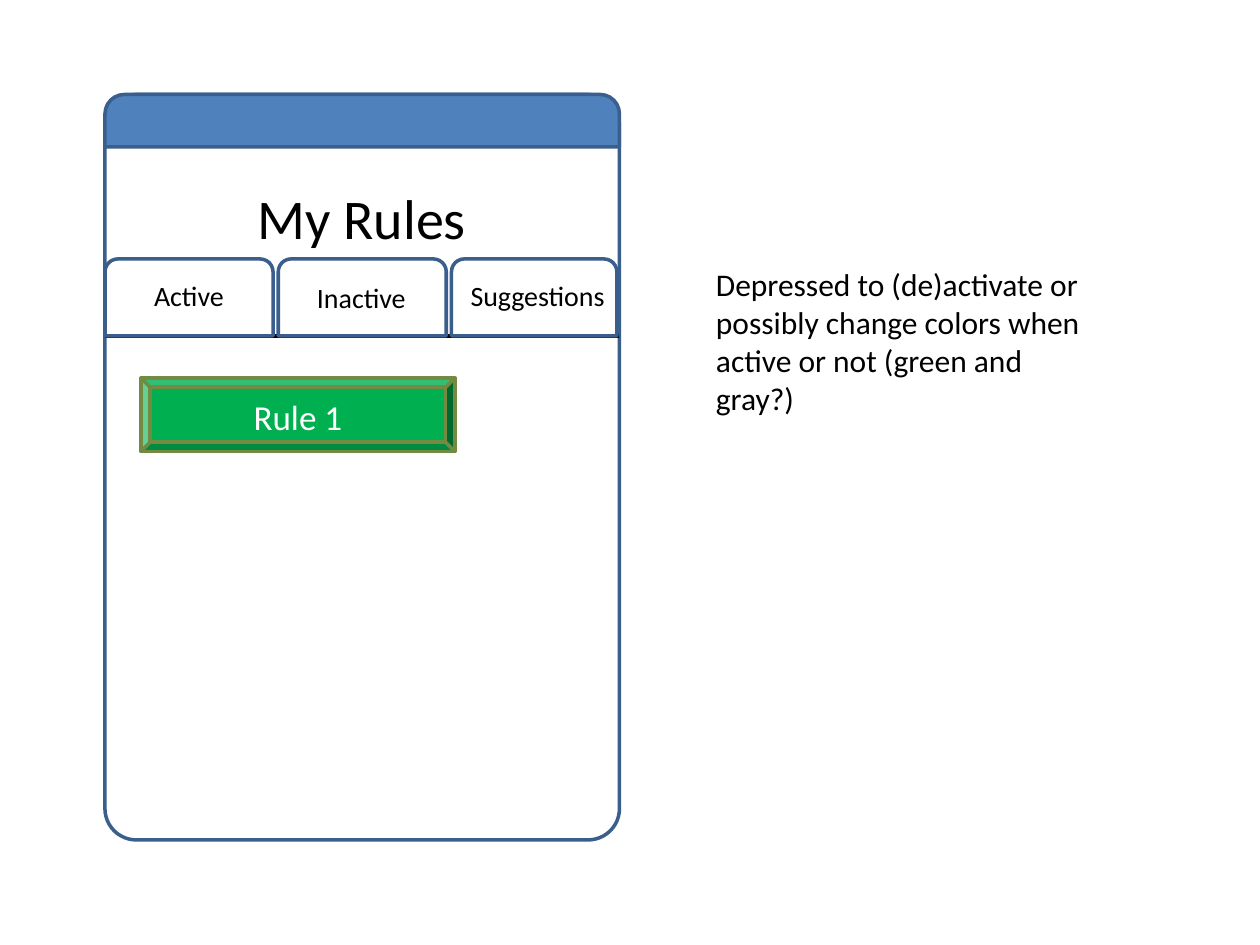
from dataclasses import dataclass
from lxml.etree import SubElement
from pptx import Presentation
from pptx.dml.color import RGBColor
from pptx.enum.shapes import MSO_CONNECTOR, MSO_SHAPE
from pptx.enum.text import MSO_ANCHOR, MSO_AUTO_SIZE, PP_ALIGN
from pptx.oxml.ns import qn
from pptx.slide import Slide
from pptx.util import Pt


def color(value):
    return RGBColor.from_string(value)


def points(*values):
    return [Pt(value) for value in values]


@dataclass
class Wireframe:
    page: Slide
    font: str = "Calibri"
    ink: str = "000000"
    outline: str = "3A5F8C"

    def shape(self, kind, bounds, fill=None, line=None, adjustments=()):
        shape = self.page.shapes.add_shape(kind, *points(*bounds))
        shape.shadow.inherit = False
        if fill:
            shape.fill.solid()
            shape.fill.fore_color.rgb = color(fill)
        else:
            shape.fill.background()
        shape.line.color.rgb = color(line or self.outline)
        shape.line.width = Pt(2)
        for index, value in enumerate(adjustments):
            shape.adjustments[index] = value

    def divider(self, left, right, top):
        line = self.page.shapes.add_connector(
            MSO_CONNECTOR.STRAIGHT, *points(left, top, right, top))
        line.line.color.rgb = color(self.ink)
        line.line.width = Pt(2.25)
        SubElement(line._element.spPr, qn("a:effectLst"))

    def set_text(self, box, text, size, ink=None, align=PP_ALIGN.CENTER, wrap=True):
        frame = box.text_frame
        frame.text = text
        frame.word_wrap = wrap
        frame.auto_size = MSO_AUTO_SIZE.SHAPE_TO_FIT_TEXT
        frame.vertical_anchor = MSO_ANCHOR.TOP
        para = frame.paragraphs[0]
        para.alignment = align
        para.font.name = self.font
        para.font.size = Pt(size)
        para.font.color.rgb = color(ink or self.ink)

    def title(self, text, bounds, size):
        box = self.page.shapes.title
        box.left, box.top, box.width, box.height = points(*bounds)
        self.set_text(box, text, size)

    def label(self, text, bounds, size, **style):
        box = self.page.shapes.add_textbox(*points(*bounds))
        self.set_text(box, text, size, **style)


def main():
    deck = Presentation()
    deck.slide_width, deck.slide_height = points(720, 540)
    screen = Wireframe(deck.slides.add_slide(deck.slide_layouts[5]))

    left, top, width = 60, 54, 294
    screen.shape(MSO_SHAPE.BEVEL, (80.5, 216, 179.5, 42), "00B050", "738A42")
    screen.shape(MSO_SHAPE.ROUNDED_RECTANGLE, (left, top, width, 426),
                 adjustments=[0.061])
    screen.shape(MSO_SHAPE.ROUND_2_SAME_RECTANGLE, (left, top, width, 30),
                 "4F81BD", adjustments=[0.37, 0])
    screen.title("My Rules", (108, 101.5, 197.5, 46), 32)

    screen.divider(left, left + width, 192)
    tabs = [
        ("Active", 96, (80.5, 155.5, 55, 26.5), False),
        ("Inactive", 96, (173.5, 157, 66, 26.5), False),
        ("Suggestions", 94.5, (260, 155.5, 94.5, 26.5), True),
    ]
    for index, (name, tab_width, bounds, wrap) in enumerate(tabs):
        screen.shape(MSO_SHAPE.ROUND_2_SAME_RECTANGLE,
                     (left + 99 * index, 148, tab_width, 44))
        screen.label(name, bounds, 16, wrap=wrap)

    screen.label("Rule 1", (80.5, 222.5, 179.5, 31.5), 20, ink="FFFFFF")
    screen.label("Depressed to (de)activate or possibly change colors when "
                 "active or not (green and gray?)",
                 (402, 148, 234, 94.5), 18, align=PP_ALIGN.LEFT)
    deck.save("out.pptx")


if __name__ == "__main__":
    main()
